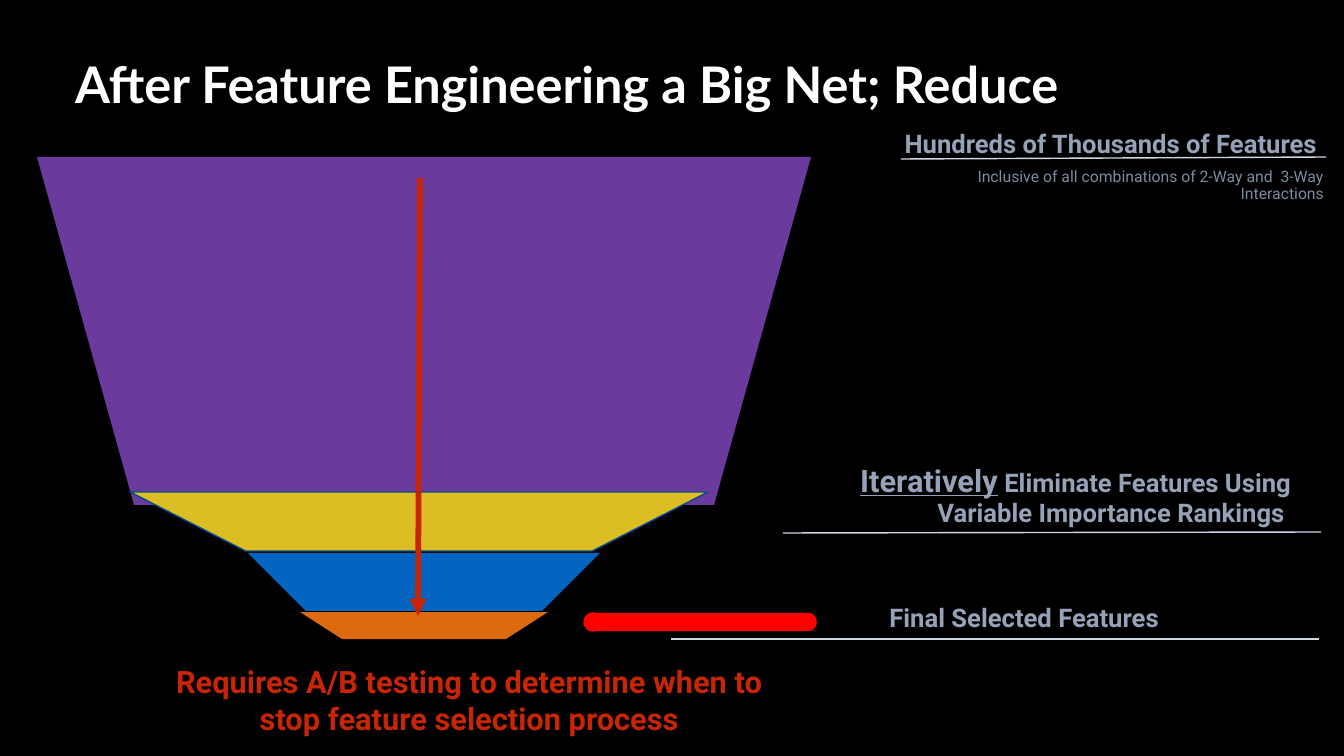
from lxml.etree import SubElement
from pptx import Presentation
from pptx.dml.color import RGBColor as RGB
from pptx.enum.shapes import MSO_CONNECTOR as Line, MSO_SHAPE as Kind
from pptx.enum.text import MSO_ANCHOR as Anchor, MSO_AUTO_SIZE as Auto, PP_ALIGN as Align
from pptx.oxml.ns import qn
from pptx.util import Pt

PX = 914400 / 50.4
HUE = {"back": "000000", "white": "FFFFFF", "rule": "CFD7E2", "head": "95A2B7",
       "note": "7D8BA0", "rust": "C82506", "red": "FF0000", "plum": "6A3A9C",
       "gold": "DCBD23", "edge": "024B8E", "blue": "0365C0", "amber": "DE6A10"}


def emu(*vals):
    """Turn pixels into EMU."""
    return [round(v * PX) for v in vals]


def tint(fill, hue):
    """Set a solid fill."""
    fill.solid()
    fill.fore_color.rgb = RGB.from_string(HUE[hue])


def write(shape, runs, align, pad=0, space=None, anchor=Anchor.TOP):
    """Fill a text shape with runs of (text, size, font, hue, bold, underline)."""
    frame = shape.text_frame
    frame.word_wrap, frame.auto_size = True, Auto.NONE
    frame.vertical_anchor = anchor
    frame.margin_left = frame.margin_right = frame.margin_top = frame.margin_bottom = emu(pad)[0]
    para = frame.paragraphs[0]
    para.alignment, para.line_spacing = align, space
    for text, size, face, hue, bold, under in runs:
        run = para.add_run()
        run.text = text
        font = run.font
        font.size, font.name, font.bold, font.underline = Pt(size), face, bold, under
        font.color.rgb = RGB.from_string(HUE[hue])


def link(slide, start, end, hue, width, arrow=False):
    """Draw a straight line, with an arrowhead if asked."""
    line = slide.shapes.add_connector(Line.STRAIGHT, *emu(*start, *end))
    tint(line.line.fill, hue)
    line.line.width = Pt(width)
    if arrow:
        SubElement(line.line._get_or_add_ln(), qn("a:tailEnd"), type="triangle")
    SubElement(line._element.spPr, qn("a:effectLst"))


def band(slide, x, y, width, base, height, hue):
    """Draw a funnel band that narrows evenly to its base."""
    inset = (width - base) / 2
    form = slide.shapes.build_freeform(x, y, scale=PX)
    form.add_line_segments([(x + width, y), (x + width - inset, y + height),
                            (x + inset, y + height)])
    shape = form.convert_to_shape()
    shape.shadow.inherit = False
    tint(shape.fill, hue)
    shape.line.fill.background()


def block(slide, kind, box, fill, edge, width):
    """Draw an outlined preset shape."""
    shape = slide.shapes.add_shape(kind, *emu(*box))
    shape.shadow.inherit = False
    tint(shape.fill, fill)
    tint(shape.line.fill, edge)
    shape.line.width = Pt(width)
    return shape


def funnel(slide, x, y, w, h):
    """Build the funnel with its downward arrow."""
    mid = x + w / 2
    for top, width, base, height, hue in [(396, 352, 235, 58, "blue"), (0, w, 581, 348, "plum"),
                                          (455, 247, 165, h - 455, "amber")]:
        band(slide, mid - width / 2, y + top, width, base, height, hue)
    block(slide, Kind.FLOWCHART_MANUAL_OPERATION, (x + 93, y + 335, 578, 59), "gold", "edge", 2)
    link(slide, (mid - 4, y + 21), (mid - 6, y + 459), "rust", 8.25, True)


def notes(slide, x, y, w, h):
    """Build the ruled labels beside the funnel."""
    right = x + w
    for left, top, end, low in [(901, 28, right, 26), (783, 402, right - 5, 401),
                                (x, h, right - 7, h)]:
        link(slide, (end, y + low), (left, y + top), "rule", 2)
    head = (36.6, "Roboto", "head", True, False)
    labels = [
        (831, 0, 506, 52, 0, [("Hundreds of Thousands of Features", *head)]),
        (958, 35, 368, 85, 2, [("Inclusive of all combinations of 2-Way and  3-Way Interactions",
                                22.5, "Roboto", "note", False, False)]),
        (838, 334, 453, 52, 0, [("Iteratively", 44, "Roboto", "head", True, True),
                                (" Eliminate Features Using Variable Importance Rankings ", *head)]),
        (831, 474, 328, 52, 0, [("Final Selected Features", *head)])]
    labels[0] = (811, *labels[0][1:])
    for left, top, width, height, pad, runs in labels:
        area = slide.shapes.add_textbox(*emu(left, y + top, width, height))
        write(area, runs, Align.RIGHT, pad, 0.93)


def title(slide, *box):
    """Place the slide title."""
    head = slide.shapes.title
    head.left, head.top, head.width, head.height = emu(*box)
    write(head, [("After Feature Engineering a Big Net; Reduce", 72, "Lato", "white", True, False)],
          Align.LEFT, 4)


def footer(slide, *box):
    """Place the testing remark under the funnel."""
    area = slide.shapes.add_textbox(*emu(*box))
    write(area, [("Requires A/B testing to determine when to stop feature selection process",
                  44, "Roboto", "rust", True, False)], Align.CENTER, 4, anchor=Anchor.MIDDLE)


def main():
    """Build and save the slide."""
    deck = Presentation()
    deck.slide_width, deck.slide_height = emu(1344, 756)
    slide = deck.slides.add_slide(deck.slide_layouts[5])
    tint(slide.background.fill, "back")
    notes(slide, 671, 131, 655, 508)
    title(slide, 71, 49, 1013, 82)
    footer(slide, 146, 658, 647, 83)
    funnel(slide, 37, 157, 774, 482)
    bar = block(slide, Kind.RIGHT_ARROW, (592, 621, 216, 2), "rust", "red", 25)
    bar.rotation = 180
    deck.save("out.pptx")


main()
